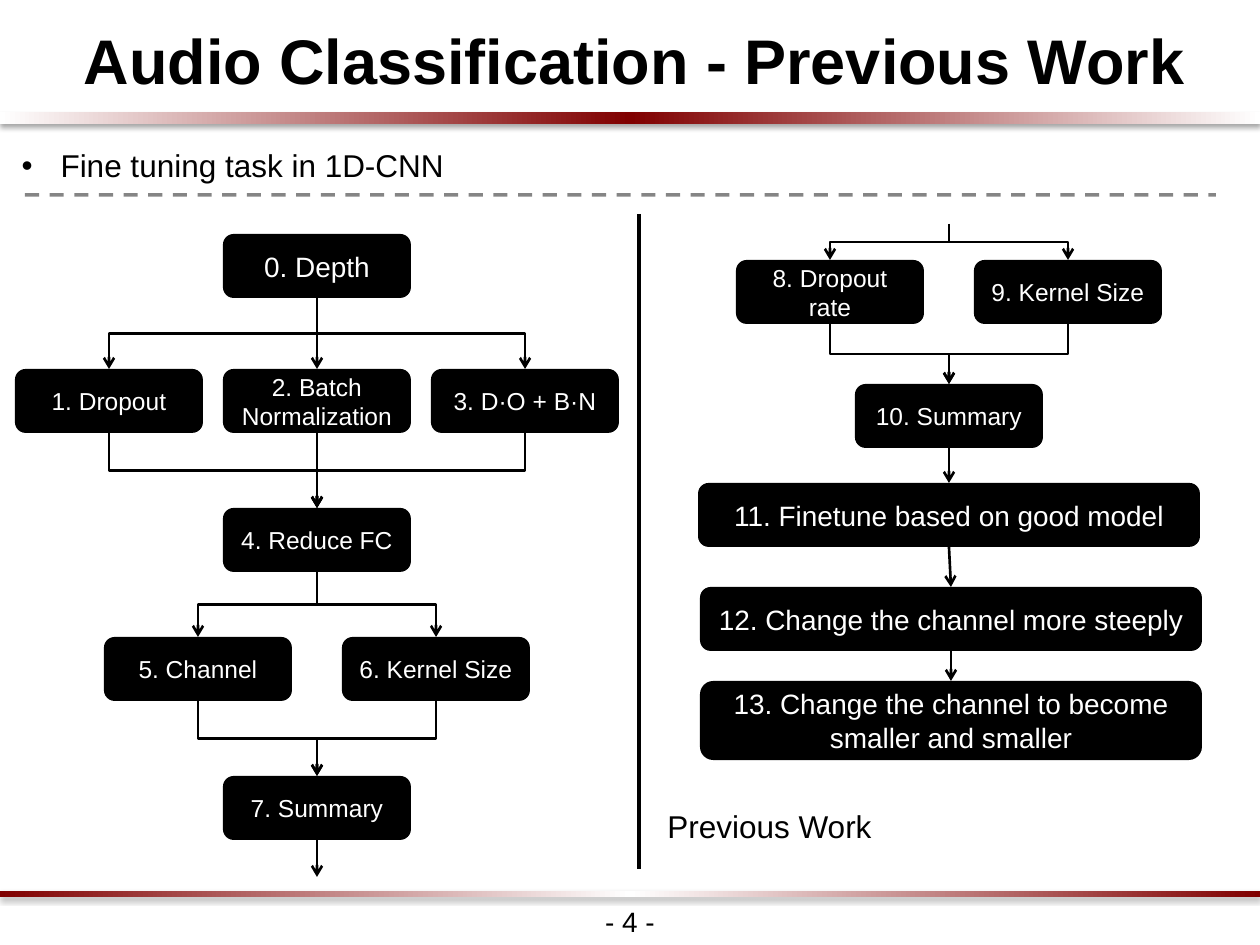
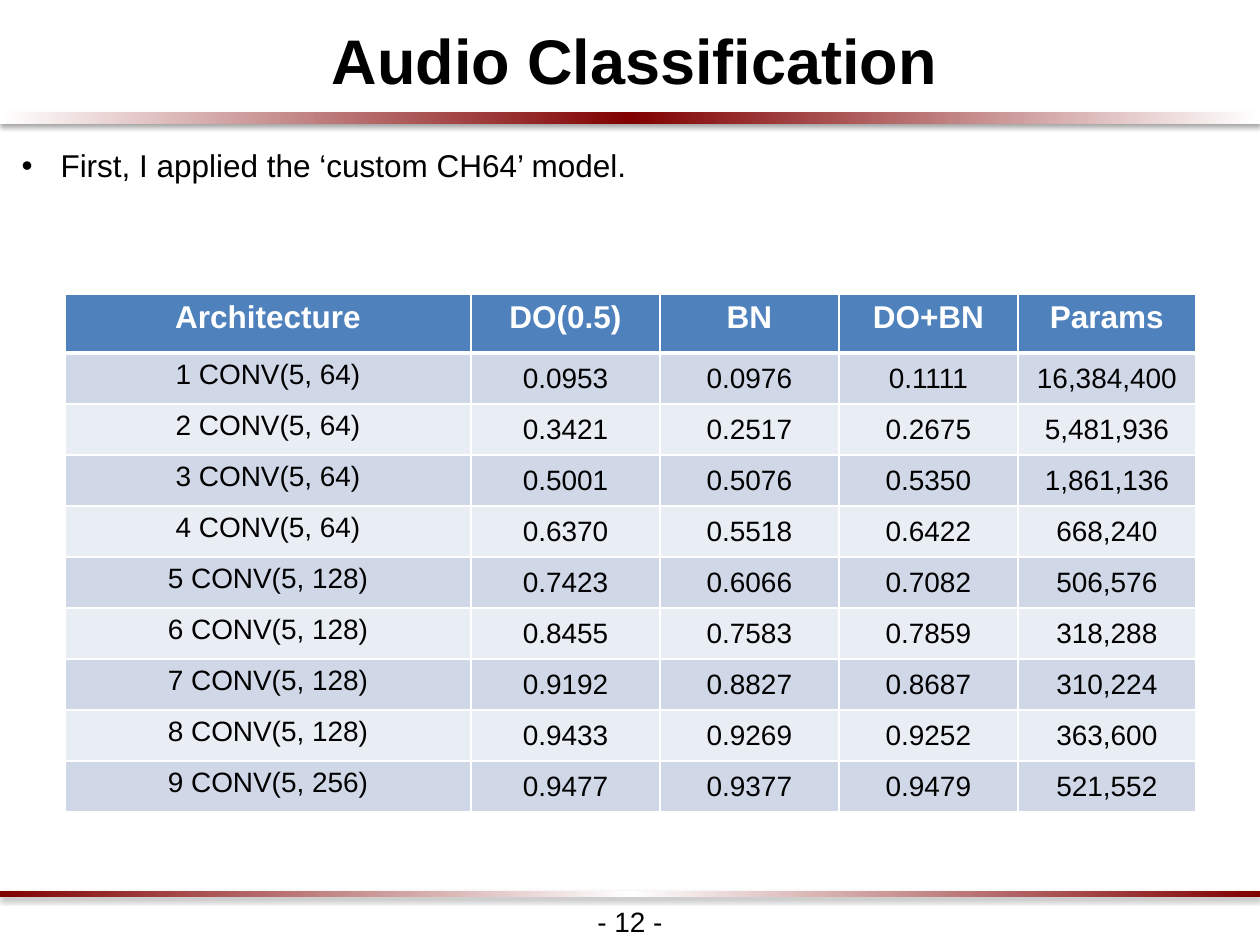
import copy
import dataclasses

import lxml.etree
import pptx
import pptx.dml.color
import pptx.enum.dml
import pptx.enum.shapes
import pptx.enum.text
import pptx.oxml
import pptx.oxml.ns
import pptx.util

PX = 7257


@dataclasses.dataclass(frozen=True)
class Theme:
    font: str = "Arial"
    black: str = "000000"
    white: str = "FFFFFF"
    maroon: str = "800000"
    header: str = "4F81BD"
    odd_row: str = "D0D8E8"
    even_row: str = "E9EDF4"
    title: int = 36
    body: int = 18
    large: int = 16
    small: int = 14


theme = Theme()
rgb = pptx.dml.color.RGBColor.from_string
qn = pptx.oxml.ns.qn
Align = pptx.enum.text.PP_ALIGN
Anchor = pptx.enum.text.MSO_ANCHOR
Shape = pptx.enum.shapes.MSO_SHAPE
Connector = pptx.enum.shapes.MSO_CONNECTOR


def write(paragraph, text, size, color=theme.black, bold=False, align=Align.CENTER):
    paragraph.alignment = align
    for index, line in enumerate(text.split("\n")):
        if index:
            paragraph.add_line_break()
        run = paragraph.add_run()
        run.text = line
        run.font.name = theme.font
        run.font.size = pptx.util.Pt(size)
        run.font.bold = bold
        run.font.color.rgb = rgb(color)


def link(slide, x1, y1, x2, y2, bent=False, arrow=True, width=1.5):
    ends = [x1 * PX, y1 * PX, x2 * PX, y2 * PX]
    if bent:
        middle_x, middle_y = (x1 + x2) * PX // 2, (y1 + y2) * PX // 2
        half_drop = (y2 - y1) * PX // 2 * (1 if x2 > x1 else -1)
        half_span = abs(x2 - x1) * PX // 2
        ends = [middle_x + half_drop, middle_y - half_span,
                middle_x - half_drop, middle_y + half_span]
    connector = slide.shapes.add_connector(
        Connector.ELBOW if bent else Connector.STRAIGHT, *ends)
    connector.line.width = pptx.util.Pt(width)
    connector.line.color.rgb = rgb(theme.black)
    properties = connector._element.spPr
    if bent:
        properties.find(qn("a:xfrm")).set("rot", "16200000" if x2 > x1 else "5400000")
    if arrow:
        lxml.etree.SubElement(properties.find(qn("a:ln")), qn("a:tailEnd"), type="arrow")
    lxml.etree.SubElement(properties, qn("a:effectLst"))
    return connector


deck = pptx.Presentation()
deck.slide_width = 1260 * PX
deck.slide_height = 945 * PX

bands = [
    (112, 12, (theme.white, theme.maroon, theme.white)),
    (891, 6, (theme.maroon, theme.white, theme.maroon)),
]
pages = [
    ("Audio Classification - Previous Work", "Fine tuning task in 1D-CNN", 54, "- 4 -"),
    ("Audio Classification", "First, I applied the ‘custom CH64’ model.", 134, "- 12 -"),
]
for heading, point, point_height, page_number in pages:
    slide = deck.slides.add_slide(deck.slide_layouts[1])

    for top, height, colors in bands:
        band = slide.shapes.add_shape(Shape.RECTANGLE, 0, top * PX, 1260 * PX, height * PX)
        band.line.fill.background()
        band.fill.gradient()
        band.fill.gradient_angle = 0
        stops = band._element.spPr.find(".//" + qn("a:gsLst"))
        stops.append(copy.deepcopy(stops[0]))
        for stop, position, color in zip(band.fill.gradient_stops, (0, 0.5, 1), colors):
            stop.position = position
            stop.color.rgb = rgb(color)
        band.shadow.inherit = False
        shadow = lxml.etree.SubElement(
            band._element.spPr.find(qn("a:effectLst")), qn("a:outerShdw"),
            blurRad="39370", dist="22860", dir="5400000", rotWithShape="0")
        shade = lxml.etree.SubElement(shadow, qn("a:srgbClr"), val=theme.black)
        lxml.etree.SubElement(shade, qn("a:alpha"), val="35000")

    title = slide.shapes.title
    title.left, title.top, title.width, title.height = -29 * PX, 4 * PX, 1317 * PX, 100 * PX
    title_frame = title.text_frame
    title_frame.auto_size = pptx.enum.text.MSO_AUTO_SIZE.NONE
    title_frame.vertical_anchor = Anchor.MIDDLE
    title_frame.margin_top = title_frame.margin_bottom = 13 * PX
    write(title_frame.paragraphs[0], heading, theme.title, bold=True)
    title_frame.paragraphs[0].line_spacing = 1.15
    title_frame.paragraphs[0]._p.get_or_add_pPr().set("marL", str(10 * PX))

    body = slide.placeholders[1]
    body.left, body.top, body.width, body.height = 9 * PX, 140 * PX, 1187 * PX, point_height * PX
    body.text_frame.auto_size = pptx.enum.text.MSO_AUTO_SIZE.NONE
    write(body.text_frame.paragraphs[0], point, theme.body, align=Align.LEFT)
    indents = body.text_frame.paragraphs[0]._p.get_or_add_pPr()
    indents.set("marL", str(39 * PX))
    indents.set("indent", str(-39 * PX))

    footer = slide.shapes.add_textbox(483 * PX, 898 * PX, 294 * PX, 47 * PX)
    footer.text_frame.word_wrap = True
    write(footer.text_frame.paragraphs[0], page_number, theme.large)

flow, results = deck.slides

LEFT, RIGHT = 317, 949
STEP_WIDTH, WIDE_WIDTH = 188, 502
steps = [
    ("0. Depth", LEFT, 234, STEP_WIDTH, 64, theme.large),
    ("1. Dropout", LEFT - 208, 369, STEP_WIDTH, 64, theme.small),
    ("2. Batch Normalization", LEFT, 369, STEP_WIDTH, 64, theme.small),
    ("3. D·O + B·N", LEFT + 208, 369, STEP_WIDTH, 64, theme.small),
    ("4. Reduce FC", LEFT, 508, STEP_WIDTH, 64, theme.small),
    ("5. Channel", LEFT - 119, 637, STEP_WIDTH, 64, theme.small),
    ("6. Kernel Size", LEFT + 119, 637, STEP_WIDTH, 64, theme.small),
    ("7. Summary", LEFT, 776, STEP_WIDTH, 64, theme.small),
    ("8. Dropout rate", RIGHT - 119, 260, STEP_WIDTH, 64, theme.small),
    ("9. Kernel Size", RIGHT + 119, 260, STEP_WIDTH, 64, theme.small),
    ("10. Summary", RIGHT, 384, STEP_WIDTH, 64, theme.small),
    ("11. Finetune based on good model", RIGHT, 483, WIDE_WIDTH, 64, theme.large),
    ("12. Change the channel more steeply", RIGHT + 2, 587, WIDE_WIDTH, 64, theme.large),
    ("13. Change the channel to become\nsmaller and smaller",
     RIGHT + 2, 681, WIDE_WIDTH, 79, theme.large),
]
for label, center, top, width, height, size in steps:
    step = flow.shapes.add_shape(Shape.ROUNDED_RECTANGLE, (center - width // 2) * PX,
                                 top * PX, width * PX, height * PX)
    step.shadow.inherit = False
    step.fill.solid()
    step.fill.fore_color.rgb = rgb(theme.black)
    step.line.fill.background()
    step.text_frame.word_wrap = True
    step.text_frame.vertical_anchor = Anchor.MIDDLE
    write(step.text_frame.paragraphs[0], label, size, theme.white)

branches = [
    (LEFT, 208, 298, 369, True),
    (LEFT, 208, 433, 508, False),
    (LEFT, 119, 572, 637, True),
    (LEFT, 119, 701, 776, False),
    (RIGHT, 119, 224, 260, True),
    (RIGHT, 119, 324, 384, False),
]
for center, spread, top, bottom, splits in branches:
    for side in (center - spread, center + spread):
        start, end = (center, side) if splits else (side, center)
        link(flow, start, top, end, bottom, bent=True)

for x1, y1, x2, y2 in [
    (LEFT, 298, LEFT, 369),
    (LEFT, 433, LEFT, 508),
    (LEFT, 840, LEFT, 877),
    (RIGHT, 448, RIGHT, 483),
    (RIGHT, 547, RIGHT + 2, 587),
    (RIGHT + 2, 651, RIGHT + 2, 681),
]:
    link(flow, x1, y1, x2, y2)

link(flow, 639, 214, 639, 869, arrow=False, width=2)
underline = link(flow, 25, 195, 1216, 195, arrow=False, width=2)
underline.line.dash_style = pptx.enum.dml.MSO_LINE.DASH
underline_color = underline._element.spPr.find(".//" + qn("a:srgbClr"))
lxml.etree.SubElement(underline_color, qn("a:alpha"), val="47000")

caption = flow.shapes.add_textbox(655, 801, 232 * PX, 50 * PX)
caption.left, caption.top = 655 * PX, 801 * PX
caption.text_frame.word_wrap = False
caption.text_frame.auto_size = pptx.enum.text.MSO_AUTO_SIZE.SHAPE_TO_FIT_TEXT
write(caption.text_frame.paragraphs[0], "Previous Work", theme.body, align=Align.LEFT)

scores = [
    ("Architecture", "DO(0.5)", "BN", "DO+BN", "Params"),
    ("1 CONV(5, 64)", "0.0953", "0.0976", "0.1111", "16,384,400"),
    ("2 CONV(5, 64)", "0.3421", "0.2517", "0.2675", "5,481,936"),
    ("3 CONV(5, 64)", "0.5001", "0.5076", "0.5350", "1,861,136"),
    ("4 CONV(5, 64)", "0.6370", "0.5518", "0.6422", "668,240"),
    ("5 CONV(5, 128)", "0.7423", "0.6066", "0.7082", "506,576"),
    ("6 CONV(5, 128)", "0.8455", "0.7583", "0.7859", "318,288"),
    ("7 CONV(5, 128)", "0.9192", "0.8827", "0.8687", "310,224"),
    ("8 CONV(5, 128)", "0.9433", "0.9269", "0.9252", "363,600"),
    ("9 CONV(5, 256)", "0.9477", "0.9377", "0.9479", "521,552"),
]
score_table = results.shapes.add_table(
    len(scores), 5, 65 * PX, 294 * PX, 1131 * PX, 518 * PX).table
for column, width in zip(score_table.columns, (406, 189, 179, 179, 178)):
    column.width = width * PX
for row_index, row_values in enumerate(scores):
    is_header = row_index == 0
    score_table.rows[row_index].height = (59 if is_header else 51) * PX
    row_fill = theme.header if is_header else (theme.even_row, theme.odd_row)[row_index % 2]
    for column_index, value in enumerate(row_values):
        cell = score_table.cell(row_index, column_index)
        cell.fill.solid()
        cell.fill.fore_color.rgb = rgb(row_fill)
        if not is_header and column_index:
            cell.vertical_anchor = Anchor.MIDDLE
            cell.margin_left = cell.margin_right = cell.margin_top = PX
            cell.margin_bottom = 0
        write(cell.text_frame.paragraphs[0], value,
              theme.body if is_header else theme.large,
              theme.white if is_header else theme.black, bold=is_header)
        for position, edge in enumerate(("lnL", "lnR", "lnT", "lnB")):
            thick = (row_index, edge) in ((0, "lnB"), (1, "lnT"))
            border = lxml.etree.Element(qn("a:" + edge), w=str(pptx.util.Pt(3 if thick else 1)))
            paint = lxml.etree.SubElement(border, qn("a:solidFill"))
            lxml.etree.SubElement(paint, qn("a:srgbClr"), val=theme.white)
            cell._tc.get_or_add_tcPr().insert(position, border)

deck.save("out.pptx")
